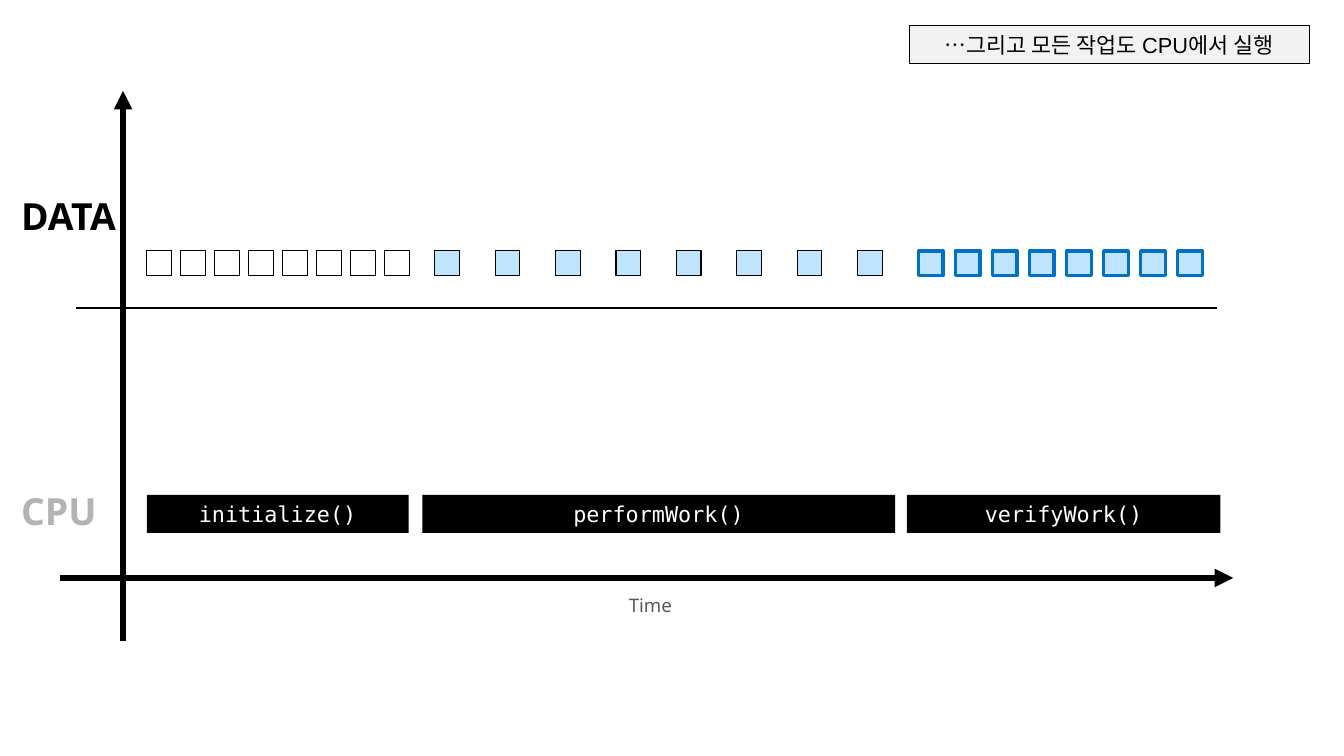
from dataclasses import dataclass

from lxml.etree import SubElement
from pptx import Presentation
from pptx.dml.color import RGBColor as Rgb
from pptx.enum.shapes import MSO_CONNECTOR as Link, MSO_SHAPE as Form
from pptx.enum.text import MSO_ANCHOR as Anchor, PP_ALIGN as Align
from pptx.oxml.ns import qn
from pptx.util import Cm, Pt


@dataclass(frozen=True)
class Theme:
    """Colours, fonts and type sizes of the slide."""
    black: str = "000000"
    white: str = "FFFFFF"
    gray: str = "B3B3B3"
    dim: str = "595959"
    pale: str = "F2F2F2"
    sky: str = "C0E3FE"
    blue: str = "0071C5"
    sans: str = "Noto Sans"
    mono: str = "DejaVu Sans Mono"
    plain: str = "Arial"
    head: int = 24
    body: int = 14
    small: int = 12


T = Theme()


def write(shape, text, size=T.body, font=T.sans, color=T.black, bold=False,
          align=Align.LEFT, anchor=Anchor.MIDDLE, space=1.0):
    """Put one formatted line of text into a shape."""
    frame = shape.text_frame
    frame.word_wrap = True
    frame.vertical_anchor = anchor
    para = frame.paragraphs[0]
    para.alignment = align
    para.line_spacing = space
    run = para.add_run()
    run.text = text
    run.font.size = Pt(size)
    run.font.name = font
    run.font.bold = bold
    run.font.color.rgb = Rgb.from_string(color)


def rect(shapes, x, y, w, h, fill=None, line=None, width=0.75):
    """Add a flat rectangle, sized in centimetres."""
    shape = shapes.add_shape(Form.RECTANGLE, Cm(x), Cm(y), Cm(w), Cm(h))
    shape.shadow.inherit = False
    if fill:
        shape.fill.solid()
        shape.fill.fore_color.rgb = Rgb.from_string(fill)
    else:
        shape.fill.background()
    if line:
        shape.line.color.rgb = Rgb.from_string(line)
        shape.line.width = Pt(width)
    else:
        shape.line.fill.background()
    return shape


def rule(shapes, x1, y1, x2, y2, width, arrow=False):
    """Add a straight black line, with an arrowhead at its end if asked."""
    line = shapes.add_connector(Link.STRAIGHT, Cm(x1), Cm(y1), Cm(x2), Cm(y2))
    line.line.color.rgb = Rgb.from_string(T.black)
    line.line.width = Pt(width)
    if arrow:
        SubElement(line.line._get_or_add_ln(), qn("a:tailEnd"), type="triangle")
    SubElement(line._element.spPr, qn("a:effectLst"))


def label(shapes, x, y, w, h, text, **style):
    """Add a text label that sits on the bottom of its box."""
    box = shapes.add_textbox(Cm(x), Cm(y), Cm(w), Cm(h))
    write(box, text, anchor=Anchor.BOTTOM, space=0.9, **style)


def axes(shapes, x, y, w, h):
    """Draw both arrows of the chart and the name of the time axis."""
    left, base = x + 1.42, y + 11.05
    rule(shapes, left, y + h, left, y, 4, arrow=True)
    rule(shapes, x, base, x + w, base, 4, arrow=True)
    label(shapes, x + 12.58, base + 0.25, 1.6, 0.76, "Time", size=T.small,
          color=T.dim, align=Align.CENTER)


def tasks(shapes, x, y, h):
    """Draw the CPU lane: its name and one bar for each call."""
    label(shapes, x, y - 0.16, 2.46, 1.17, "CPU", size=T.head, color=T.gray,
          bold=True)
    for name, start, w in (("initialize()", 3.1, 5.94),
                           ("performWork()", 9.35, 10.72),
                           ("verifyWork()", 20.34, 7.11)):
        bar = rect(shapes, x + start, y, w, h, fill=T.black)
        write(bar, name, font=T.mono, color=T.white, align=Align.CENTER)


def cells(shapes, x, y, side, step, **style):
    """Draw a group of eight evenly spaced data cells."""
    group = shapes.add_group_shape()
    for i in range(8):
        rect(group.shapes, x + i * step, y, side, side, **style)


def data(shapes, x, y, w):
    """Draw the data lane: three runs of cells, a divider and its name."""
    top, side = y + 1.32, 0.56
    cells(shapes, x + 3.1, top, side, 0.77, line=T.black)
    cells(shapes, x + 9.63, top, side, 1.37, fill=T.sky, line=T.black)
    cells(shapes, x + 20.6, top, side, 0.84, fill=T.sky, line=T.blue, width=2.25)
    rule(shapes, x + 1.5, y + 2.62, x + w, y + 2.62, 1.5)
    label(shapes, x, y, 2.79, 1.17, "DATA", size=T.head, bold=True)


def note(shapes, x, y, w, h):
    """Draw the framed remark in the corner."""
    box = rect(shapes, x, y, w, h, fill=T.pale, line=T.black)
    write(box, "…그리고 모든 작업도 CPU에서 실행", font=T.plain,
          align=Align.CENTER)


def main():
    """Build and save the slide."""
    deck = Presentation()
    deck.slide_width, deck.slide_height = Cm(30.48), Cm(17.15)
    shapes = deck.slides.add_slide(deck.slide_layouts[6]).shapes
    axes(shapes, 1.37, 2.06, 26.6, 12.49)
    tasks(shapes, 0.23, 11.23, 0.86)
    data(shapes, 0.23, 4.37, 27.38)
    note(shapes, 20.62, 0.58, 9.07, 0.86)
    deck.save("out.pptx")


main()
